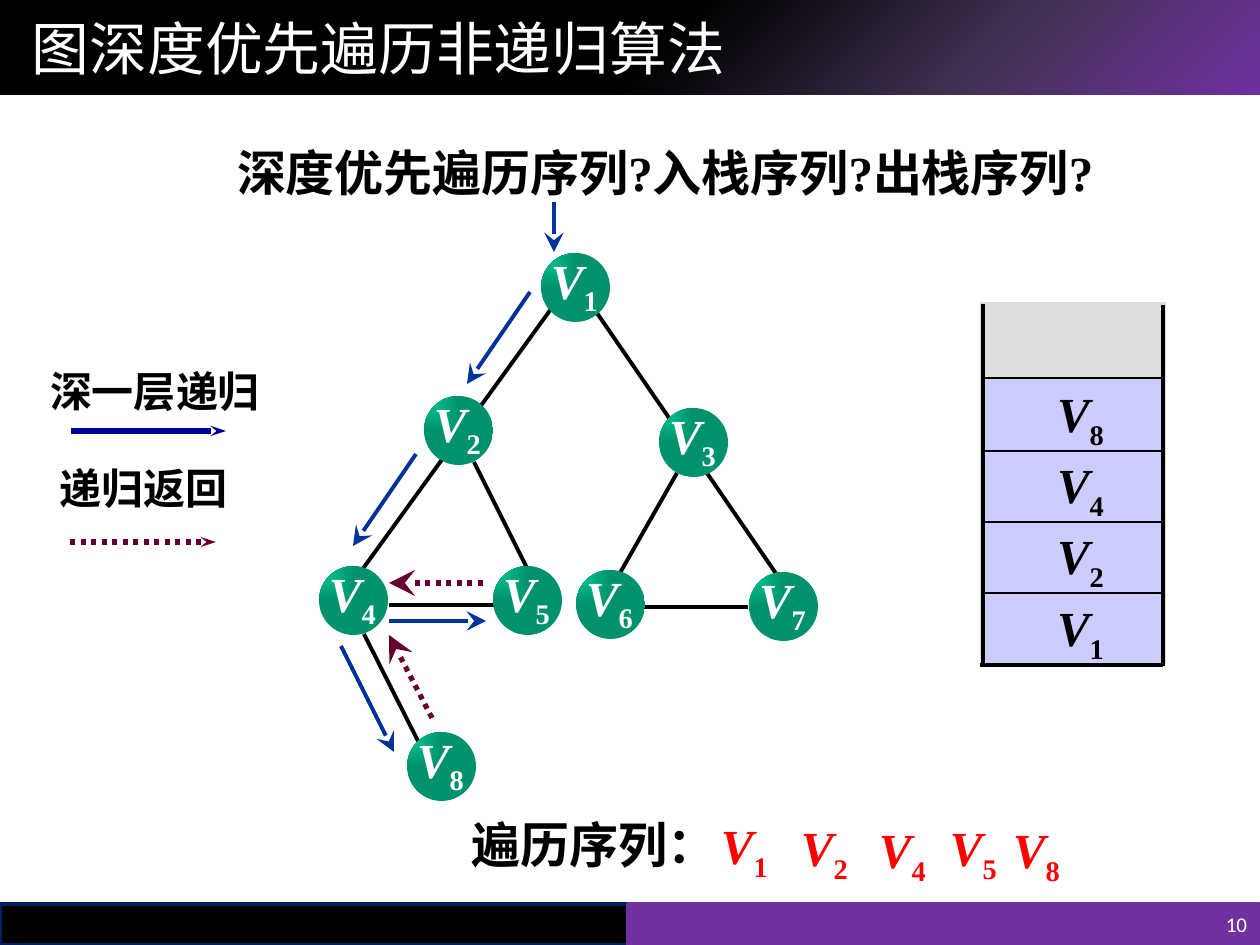
from typing import NamedTuple

from lxml.etree import SubElement
from pptx import Presentation
from pptx.dml.color import RGBColor
from pptx.enum.dml import MSO_LINE_DASH_STYLE as Dash
from pptx.enum.shapes import MSO_CONNECTOR, MSO_SHAPE
from pptx.enum.text import MSO_ANCHOR as Anchor, PP_ALIGN as Align
from pptx.oxml.ns import qn
from pptx.util import Pt

EMU_PER_PX = 914400 / 126
BLACK = RGBColor(0x00, 0x00, 0x00)
WHITE = RGBColor(0xFF, 0xFF, 0xFF)
RED = RGBColor(0xFF, 0x00, 0x00)
PURPLE = RGBColor(0x70, 0x30, 0xA0)
DARK_PURPLE = RGBColor(0x40, 0x31, 0x52)
NAVY = RGBColor(0x00, 0x20, 0x60)
LEGEND_BLUE = RGBColor(0x00, 0x00, 0x99)
ARROW_BLUE = RGBColor(0x00, 0x33, 0x99)
RETURN_RED = RGBColor(0x66, 0x00, 0x33)
LIGHT_GREEN = RGBColor(0x00, 0xCC, 0x99)
GREEN = RGBColor(0x00, 0x92, 0x6D)
STACK_GREY = RGBColor(0xDD, 0xDD, 0xDD)
CELL_BLUE = RGBColor(0xCC, 0xCC, 0xFF)
SERIF = "Times New Roman"
NODE_SIZE = 69


class Box(NamedTuple):
    left: int
    top: int
    width: int
    height: int


class Segment(NamedTuple):
    x1: int
    y1: int
    x2: int
    y2: int


class Node(NamedTuple):
    number: str
    left: int
    top: int


class Arrow(NamedTuple):
    segment: Segment
    color: RGBColor = ARROW_BLUE
    width: float = 2.25
    dotted: bool = False
    head: tuple[str, str] = ("lg", "lg")


NODES = [
    Node("1", 541, 253), Node("3", 659, 408), Node("2", 424, 396), Node("4", 319, 566),
    Node("5", 493, 566), Node("6", 576, 570), Node("7", 749, 572), Node("8", 407, 732),
]
EDGES = [
    Segment(494, 605, 389, 605), Segment(597, 313, 777, 575), Segment(551, 309, 362, 570),
    Segment(474, 462, 528, 570), Segment(677, 473, 620, 573), Segment(748, 607, 643, 607),
    Segment(364, 634, 418, 741),
]
STACK_SIDES = [
    Segment(983, 304, 983, 664), Segment(1163, 305, 1163, 666), Segment(980, 665, 1163, 665),
]
ARROWS = [
    Arrow(Segment(71, 431, 226, 431), LEGEND_BLUE, 3, head=("sm", "med")),
    Arrow(Segment(70, 542, 216, 542), RETURN_RED, 3, True, ("sm", "med")),
    Arrow(Segment(554, 202, 554, 252)),
    Arrow(Segment(530, 292, 467, 384)),
    Arrow(Segment(416, 454, 353, 546)),
    Arrow(Segment(389, 621, 486, 621)),
    Arrow(Segment(341, 646, 394, 752)),
    Arrow(Segment(483, 583, 389, 583), RETURN_RED, 3, True),
    Arrow(Segment(432, 718, 389, 635), RETURN_RED, 3, True),
]
STACK_CELLS = [("1", 592), ("2", 520), ("4", 449), ("8", 378)]
VISITED = [("1", 719, 815), ("2", 799, 817), ("4", 877, 819), ("5", 948, 817), ("8", 1011, 819)]


def px(length: int) -> int:
    return round(length * EMU_PER_PX)


def set_gradient(shape, path: str, focus: dict, stops: list) -> None:
    """Fill a shape with a path gradient, for which python-pptx has no method."""
    shape.fill.gradient()
    gradient = shape.element.spPr.find(qn("a:gradFill"))
    for child in list(gradient):
        gradient.remove(child)
    stop_list = SubElement(gradient, qn("a:gsLst"))
    for percent, color in stops:
        stop = SubElement(stop_list, qn("a:gs"), pos=str(percent * 1000))
        SubElement(stop, qn("a:srgbClr"), val=str(color))
    path_element = SubElement(gradient, qn("a:path"), path=path)
    SubElement(path_element, qn("a:fillToRect"), **focus)


def add_box(slide, box: Box, fill=None, line=None, line_width=0.75, kind=MSO_SHAPE.RECTANGLE):
    shape = slide.shapes.add_shape(kind, *map(px, box))
    shape.shadow.inherit = False
    if fill is not None:
        shape.fill.solid()
        shape.fill.fore_color.rgb = fill
    if line is None:
        shape.line.fill.background()
    else:
        shape.line.color.rgb = line
        shape.line.width = Pt(line_width)
    return shape


def write_text(shape, text: str, *, subscript="", size=28, color=BLACK, font=SERIF, bold=True,
               italic=False, align=Align.LEFT, anchor=Anchor.TOP, margins=(13, 6, 13, 6)) -> None:
    """Write one line; margins are left, top, right and bottom in px."""
    frame = shape.text_frame
    frame.word_wrap = True
    frame.vertical_anchor = anchor
    (frame.margin_left, frame.margin_top,
     frame.margin_right, frame.margin_bottom) = map(px, margins)
    paragraph = frame.paragraphs[0]
    paragraph.alignment = align
    for part in filter(None, (text, subscript)):
        run = paragraph.add_run()
        run.text = part
        run.font.name, run.font.size = font, Pt(size)
        run.font.bold, run.font.italic = bold, italic and part == text
        run.font.color.rgb = color
    if subscript:
        run.font._element.set("baseline", "-25000")


def add_text(slide, box: Box, text: str, **style) -> None:
    write_text(slide.shapes.add_textbox(*map(px, box)), text, **style)


def add_line(slide, segment: Segment, color=BLACK, width=2.25):
    line = slide.shapes.add_connector(MSO_CONNECTOR.STRAIGHT, *map(px, segment))
    line.line.color.rgb = color
    line.line.width = Pt(width)
    SubElement(line.element.spPr, qn("a:effectLst"))
    return line


def add_arrow(slide, arrow: Arrow) -> None:
    line = add_line(slide, arrow.segment, arrow.color, arrow.width).line
    if arrow.dotted:
        line.dash_style = Dash.ROUND_DOT
    width, length = arrow.head
    SubElement(line._get_or_add_ln(), qn("a:tailEnd"), type="stealth", w=width, len=length)


def add_node(slide, node: Node) -> None:
    circle = add_box(slide, Box(node.left, node.top, NODE_SIZE, NODE_SIZE), kind=MSO_SHAPE.OVAL)
    set_gradient(circle, "rect", {"r": "100000", "b": "100000"}, [(0, LIGHT_GREEN), (100, GREEN)])
    add_text(slide, Box(node.left + 9, node.top - 7, 64, 82), "V", subscript=node.number,
             color=WHITE, italic=True, margins=(1, 4, 0, 1))


def add_frame(slide) -> None:
    """Draw the title band, the footer bars and the page number."""
    band = add_box(slide, Box(0, 0, 1260, 95))
    set_gradient(band, "circle", {"l": "100000", "t": "100000"},
                 [(0, PURPLE), (23, DARK_PURPLE), (48, BLACK), (69, BLACK), (97, BLACK)])
    add_box(slide, Box(0, 904, 631, 41), BLACK, NAVY, 2)
    add_box(slide, Box(628, 904, 631, 41), PURPLE, PURPLE, 2)
    title = slide.shapes.title
    title.left, title.top, title.width, title.height = map(px, Box(0, 0, 1229, 95))
    write_text(title, "图深度优先遍历非递归算法", size=33, color=WHITE, font="Calibri", bold=False,
               anchor=Anchor.MIDDLE, margins=(32, 6, 13, 6))
    slide.shapes.element.append(title.element)  # in front of the band
    add_text(slide, Box(1103, 904, 157, 41), "10", size=12, color=WHITE, font="Calibri",
             bold=False, align=Align.RIGHT, anchor=Anchor.MIDDLE)


def main() -> None:
    presentation = Presentation()
    presentation.slide_width, presentation.slide_height = px(1260), px(945)
    slide = presentation.slides.add_slide(presentation.slide_layouts[5])
    add_frame(slide)

    narrow = (2, 1, 2, 1)
    add_text(slide, Box(224, 136, 940, 72), "深度优先遍历序列?入栈序列?出栈序列?")
    add_text(slide, Box(48, 364, 221, 68), "深一层递归", size=24, margins=narrow)
    add_text(slide, Box(58, 462, 210, 67), "递归返回", size=24, margins=narrow)

    for edge in EDGES:
        add_line(slide, edge)
    for node in NODES:
        add_node(slide, node)

    add_box(slide, Box(980, 302, 186, 362), STACK_GREY)
    for number, top in STACK_CELLS:
        cell = add_box(slide, Box(982, top, 180, 73), CELL_BLUE, BLACK)
        write_text(cell, "V", subscript=number, italic=True, margins=(75, 6, 13, 6))
    for side in STACK_SIDES:
        add_line(slide, side)
    for arrow in ARROWS:
        add_arrow(slide, arrow)

    add_text(slide, Box(459, 808, 300, 72), "遍历序列：", font="Arial")
    for number, left, top in VISITED:
        add_text(slide, Box(left, top, 78, 62), "V", subscript=number, color=RED, italic=True,
                 margins=narrow)
    presentation.save("out.pptx")


if __name__ == "__main__":
    main()
